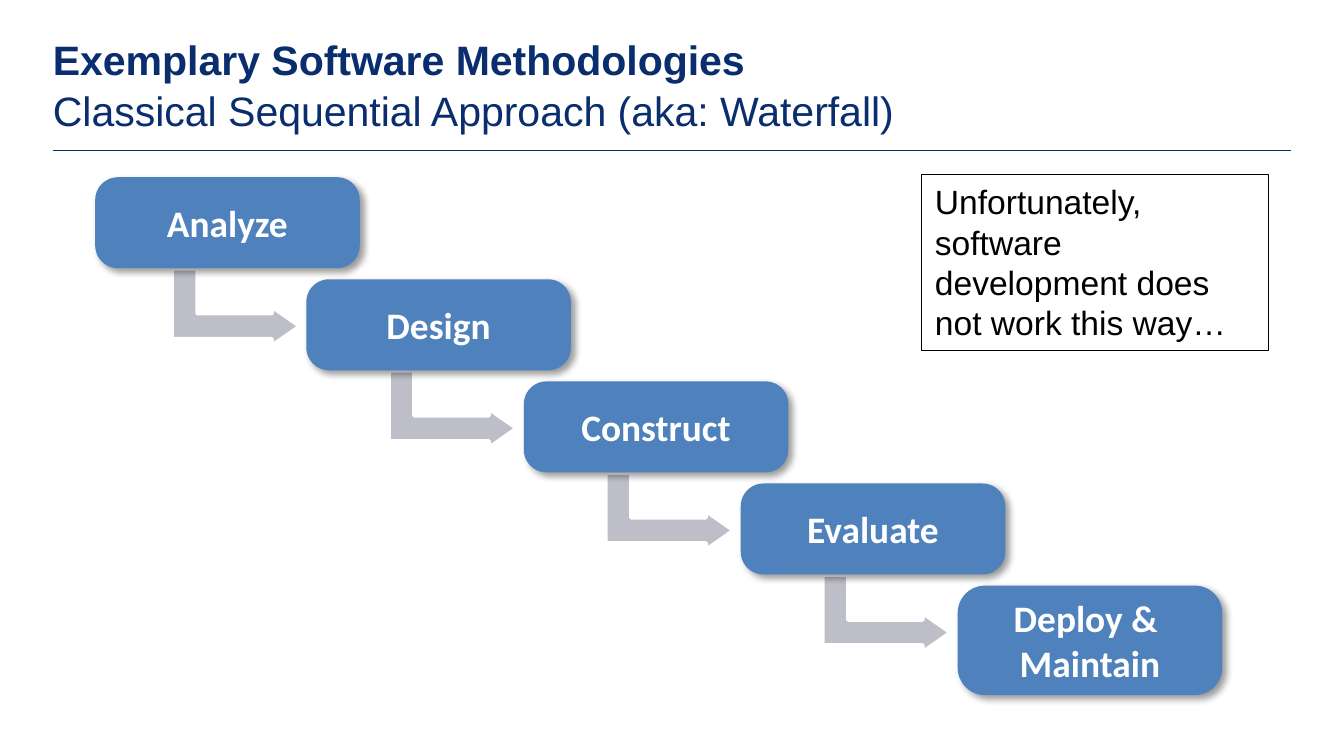
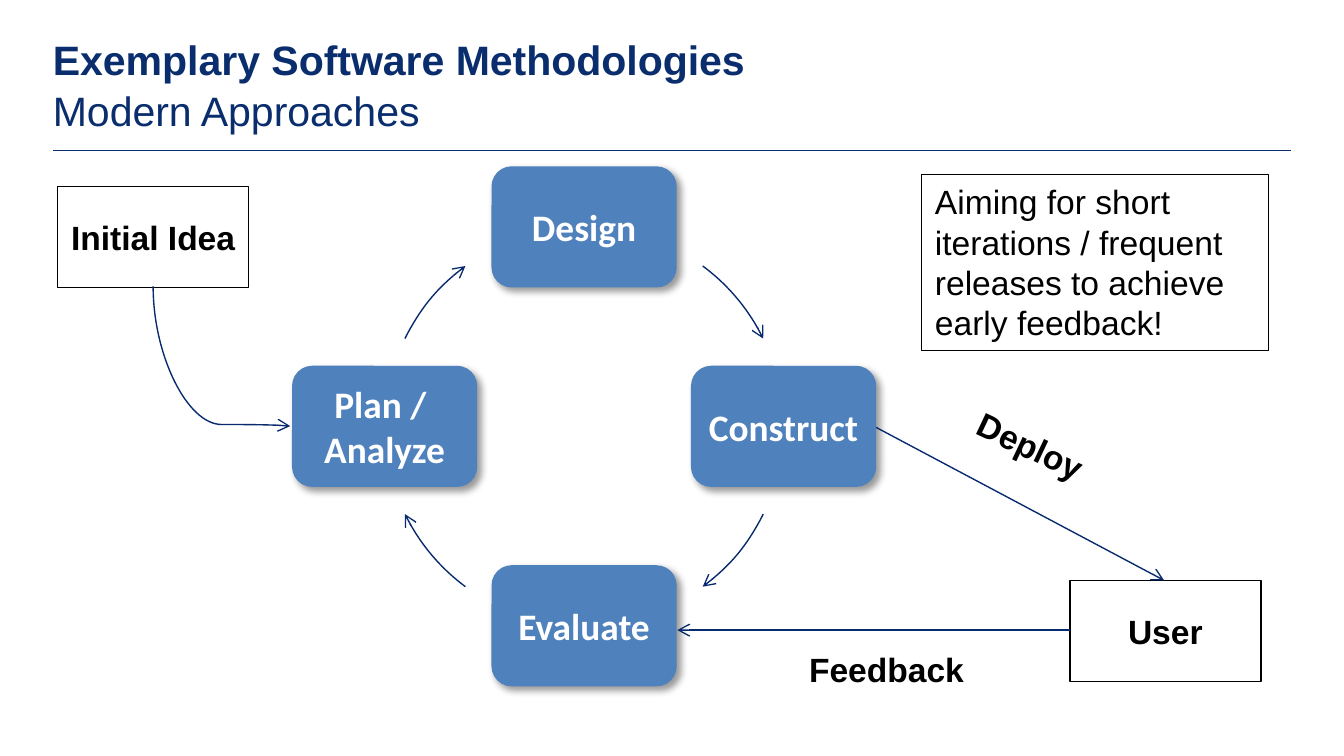
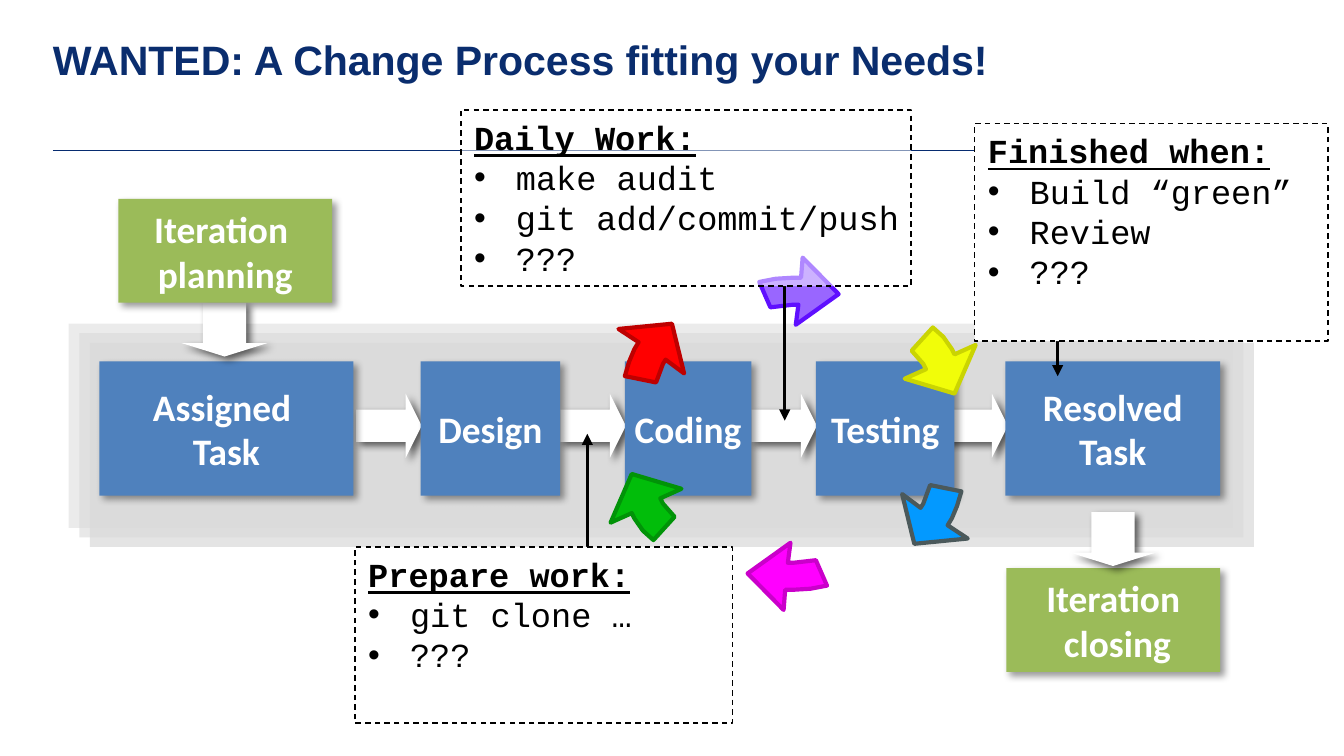
from lxml.etree import SubElement
from pptx import Presentation
from pptx.dml.color import RGBColor
from pptx.enum.dml import MSO_LINE
from pptx.enum.shapes import MSO_CONNECTOR as Link, MSO_SHAPE as Preset
from pptx.enum.text import MSO_ANCHOR as Anchor, PP_ALIGN as Align
from pptx.oxml.ns import qn
from pptx.util import Cm, Pt

NAVY, RULE, ARROW = "0A2D6E", "072C70", "072B6E"
BLUE, GREEN, GRAY, LAYER = "4F81BD", "9BBB59", "BDBEC8", "D9D9D9"
BLACK, WHITE = "000000", "FFFFFF"

METHODOLOGIES = "Exemplary Software Methodologies \n"
NOTE_FRAME = (17.42, 3.3, 6.55, 3.33)

# Waterfall: label, left, height
WATERFALL = [
    ("Analyze", 1.8, 1.72),
    ("Design", 5.79, 1.72),
    ("Construct", 9.9, 1.72),
    ("Evaluate", 14, 1.72),
    ("Deploy & \nMaintain", 18.1, 2.07),
]
WATERFALL_NOTE = "Unfortunately, software development does not work this way…"

# Cycle: label and direction from the centre
CYCLE = [("Design", 0, -1), ("Construct", 1, 0),
         ("Evaluate", 0, 1), ("Plan / \nAnalyze", -1, 0)]
CYCLE_CENTER = (11.04, 8.06)
CYCLE_RADIUS = 3.77
ARC_STARTS = [306.5, 26.1, 126.5, 206.1]
ARC_SWEEP = 27.4
ACTORS = [("Initial\u0020Idea", 1.09, 3.53), ("User", 20.22, 10.97)]
ACTOR_LINKS = [(16.56, 8.08, 22, 10.97), (20.22, 11.91, 12.8, 11.91)]
LINK_LABELS = [("Feedback", 14.81, 12.14, 0), ("Deploy", 17.53, 7.92, 25.4)]
CYCLE_NOTE = ("Aiming for short iterations / frequent releases "
              "to achieve early feedback!")

# Change process: label, left, width
PROCESS = [
    ("Assigned \nTask", 1.88, 4.8),
    ("Design", 7.95, 2.64),
    ("Coding", 11.81, 2.39),
    ("Testing", 15.42, 2.62),
    ("Resolved\nTask", 19, 4.06),
]
PROCESS_ARROWS = [17.81, 14.2, 10.59, 6.73]
DOWN_ARROWS = [(20.22, 9.68), (3.43, 5.72)]
CLOSING = ("Iteration\n closing", 19.02, 10.74)
PLANNING = ("Iteration \nplanning", 2.24, 3.76)
LAYER_OPACITIES = [50, 60, 70]

# Ring of arrows: outlines around the centre, each used again half a turn on
RING_CENTER = (14.99, 8.2)
RING_OUTLINES = [
    [(.1, -2.44), (0, -2.44), (-.43, -2.39), (-.64, -2.87), (-.33, -2.93),
     (0, -2.95), (.15, -2.95), (.18, -3.33), (.86, -2.64), (.05, -2.06)],
    [(2.51, -1.22), (2.46, -1.32), (2.24, -1.57), (2.64, -2.01), (2.84, -1.83),
     (3, -1.6), (3.05, -1.5), (3.45, -1.68), (3.05, -.76), (2.11, -1.04)],
    [(2.41, 1.4), (2.46, 1.32), (2.59, .97), (3.18, 1.09), (3.1, 1.36),
     (3, 1.6), (2.92, 1.73), (3.3, 1.98), (2.29, 2.08), (2.06, 1.14)],
]
RING_COLORS = [("9966FF", "5F0FFF"), ("F1FD09", "CAD402"), ("0399FF", "4B595B"),
               ("FF00FF", "CA00CA"), ("01BD0A", "019308"), ("FF0000", "BE0000")]

# Callouts: heading, items, frame, opacity, wrap, pointer
CALLOUTS = [
    ("Prepare work:", ["git clone …", "???"],
     (6.71, 10.34, 7.14, 3.33), 100, False, (11.1, 10.64, 11.1, 8.2)),
    ("Finished when:", ["Build “green”", "Review", "???"],
     (18.42, 2.34, 6.68, 4.11), 100, True, (19.99, 6.45, 19.99, 7.11)),
    ("Daily Work:", ["make audit", "git add/commit/push", "???"],
     (8.71, 2.08, 8.51, 3.33), 50, False, (14.83, 5.41, 14.83, 7.95)),
]


def color(value):
    return RGBColor.from_string(value)


def set_font(font, name, size, value, bold=False):
    font.name, font.size, font.bold = name, Pt(size), bold
    font.color.rgb = color(value)


def set_opacity(parent, percent):
    SubElement(parent, qn("a:alpha"), val=str(percent * 1000))


def paint(shape, fill=None, line=None, width=0.75, opacity=100, shadow=0):
    """Set fill, outline and shadow; shadow is its opacity in percent."""
    shape.shadow.inherit = False
    if fill:
        shape.fill.solid()
        shape.fill.fore_color.rgb = color(fill)
        if opacity < 100:
            set_opacity(next(shape.element.spPr.iter(qn("a:srgbClr"))), opacity)
    else:
        shape.fill.background()
    if line:
        shape.line.color.rgb = color(line)
        shape.line.width = Pt(width)
    else:
        shape.line.fill.background()
    if shadow:
        effects = shape.element.spPr.find(qn("a:effectLst"))
        outer = SubElement(effects, qn("a:outerShdw"), blurRad=str(Pt(4)),
                           dist=str(Pt(3)), dir="2700000", algn="tl",
                           rotWithShape="0")
        set_opacity(SubElement(outer, qn("a:srgbClr"), val=BLACK), shadow)


def add_shape(slide, preset, frame, adjustments=(), **look):
    shape = slide.shapes.add_shape(preset, *map(Cm, frame))
    for index, value in enumerate(adjustments):
        shape.adjustments[index] = value
    paint(shape, **look)
    return shape


def write(shape, text, name="Arial", size=18, value=BLACK, bold=True,
          align=Align.CENTER, wrap=True, anchor=Anchor.MIDDLE):
    frame = shape.text_frame
    frame.word_wrap, frame.vertical_anchor = wrap, anchor
    paragraph = frame.paragraphs[0]
    paragraph.text, paragraph.alignment = text, align
    set_font(paragraph.font, name, size, value, bold)


def add_box(slide, label, frame, fill=BLUE, preset=Preset.RECTANGLE,
            adjustments=()):
    box = add_shape(slide, preset, frame, adjustments, fill=fill, shadow=40)
    write(box, label, "Calibri", 20, WHITE, wrap=False)


def add_note(slide, text):
    note = add_shape(slide, Preset.RECTANGLE, NOTE_FRAME, line=BLACK)
    write(note, text, bold=False, align=Align.LEFT, anchor=Anchor.TOP)


def add_head(shape, head):
    SubElement(shape.element.spPr.find(qn("a:ln")), qn("a:tailEnd"), type=head)


def add_link(slide, ends, value=ARROW, width=0.75, head=None,
             kind=Link.STRAIGHT):
    link = slide.shapes.add_connector(kind, *map(Cm, ends))
    link.line.color.rgb = color(value)
    link.line.width = Pt(width)
    if head:
        add_head(link, head)
    SubElement(link.element.spPr, qn("a:effectLst"))
    return link


def add_slide(presentation, title, subtitle=""):
    slide = presentation.slides.add_slide(presentation.slide_layouts[6])
    add_link(slide, (1, 2.85, 24.4, 2.85), RULE)
    frame = slide.shapes.add_textbox(Cm(1), Cm(0.61), Cm(23.4), Cm(1.04)).text_frame
    frame.word_wrap = True
    frame.margin_left = frame.margin_right = 0
    frame.margin_top = frame.margin_bottom = 0
    paragraph = frame.paragraphs[0]
    paragraph.line_spacing = 1.04
    paragraph.text = title
    if subtitle:
        paragraph.add_run().text = subtitle
    for index, run in enumerate(paragraph.runs):
        set_font(run.font, "Arial", 22, NAVY, bold=index == 0)
    return slide


def build_waterfall(presentation):
    slide = add_slide(presentation, METHODOLOGIES,
                      "Classical Sequential Approach (aka: Waterfall)")
    drop = 1.93
    for index, (label, left, height) in enumerate(WATERFALL):
        if index < len(WATERFALL) - 1:
            bend = add_shape(slide, Preset.BENT_UP_ARROW,
                             (3.73 + 4.1 * index, 4.6 + drop * index, 1.45, 2.41),
                             (0.328, 0.25, 0.358), fill=GRAY, line=WHITE, width=2)
            bend.rotation = 90
        add_box(slide, label, (left, 3.35 + drop * index, 5, height),
                preset=Preset.ROUNDED_RECTANGLE, adjustments=(0.25,))
    add_note(slide, WATERFALL_NOTE)


def add_idea_link(slide):
    """Curve that leaves the idea downwards and enters the plan from the left."""
    link = add_link(slide, (5.51, 5.44, 2.87, 8.03), head="arrow", kind=Link.CURVE)
    properties = link.element.spPr
    properties.find(qn("a:xfrm")).set("rot", str(270 * 60000))
    guides = next(properties.iter(qn("a:avLst")))
    SubElement(guides, qn("a:gd"), name="adj1", fmla="val 98900")


def build_cycle(presentation):
    slide = add_slide(presentation, METHODOLOGIES, "Modern Approaches")
    center_x, center_y = CYCLE_CENTER
    width, height = 3.5, 2.29
    circle = (center_x - CYCLE_RADIUS, center_y - CYCLE_RADIUS,
              2 * CYCLE_RADIUS, 2 * CYCLE_RADIUS)
    for (label, across, down), start in zip(CYCLE, ARC_STARTS):
        add_box(slide, label, (center_x + CYCLE_RADIUS * across - width / 2,
                               center_y + CYCLE_RADIUS * down - height / 2,
                               width, height), preset=Preset.ROUNDED_RECTANGLE)
        angles = [angle * 0.6 for angle in (start, start + ARC_SWEEP)]
        add_head(add_shape(slide, Preset.ARC, circle, angles, line=ARROW), "arrow")
    for label, left, top in ACTORS:
        actor = add_shape(slide, Preset.RECTANGLE, (left, top, 3.61, 1.91),
                          fill=WHITE, line=BLACK)
        write(actor, label)
    for ends in ACTOR_LINKS:
        add_link(slide, ends, head="arrow")
    add_idea_link(slide)
    for label, left, top, angle in LINK_LABELS:
        caption = slide.shapes.add_textbox(Cm(left), Cm(top), Cm(3.89), Cm(1.02))
        write(caption, label, anchor=Anchor.TOP)
        caption.rotation = angle
    add_note(slide, CYCLE_NOTE)


def add_ring(slide):
    half_turn = [[(-x, -y) for x, y in outline] for outline in RING_OUTLINES]
    for outline, (fill, line) in zip(RING_OUTLINES + half_turn, RING_COLORS):
        points = [(Cm(RING_CENTER[0] + x), Cm(RING_CENTER[1] + y))
                  for x, y in outline]
        builder = slide.shapes.build_freeform(*points[0])
        builder.add_line_segments(points[1:], close=True)
        paint(builder.convert_to_shape(), fill, line, 2.25)


def add_callout(slide, heading, items, frame, opacity, wrap, pointer):
    add_link(slide, pointer, BLACK, 1.5, "triangle")
    callout = add_shape(slide, Preset.RECTANGLE, frame, fill=WHITE, line=BLACK,
                        opacity=opacity)
    callout.line.dash_style = MSO_LINE.DASH
    write(callout, heading, "Courier New", align=Align.LEFT, wrap=wrap,
          anchor=Anchor.TOP)
    callout.text_frame.paragraphs[0].font.underline = True
    for item in items:
        paragraph = callout.text_frame.add_paragraph()
        paragraph.text, paragraph.alignment = item, Align.LEFT
        set_font(paragraph.font, "Courier New", 18, BLACK)
        properties = paragraph._p.get_or_add_pPr()
        indent = Cm(0.79)
        properties.set("marL", str(indent))
        properties.set("indent", str(-indent))
        bullet_font = properties.makeelement(qn("a:buFont"), {"typeface": "Arial"})
        bullet = properties.makeelement(qn("a:buChar"), {"char": "•"})
        properties.insert(0, bullet_font)
        properties.insert(1, bullet)


def build_process(presentation):
    slide = add_slide(presentation, "WANTED: A Change Process fitting your Needs!")

    def add_milestone(label, left, top):
        add_box(slide, label, (left, top, 4.04, 1.96), GREEN)

    def add_arrow(preset, *frame):
        add_shape(slide, preset, frame, (0.5, 0.25), fill=WHITE, shadow=60)

    add_milestone(*CLOSING)
    for index, opacity in enumerate(LAYER_OPACITIES):
        add_shape(slide, Preset.RECTANGLE,
                  (1.3 + 0.2 * index, 6.12 + 0.18 * index, 22, 3.86),
                  fill=LAYER, opacity=opacity)
    for left in PROCESS_ARROWS:
        add_arrow(Preset.RIGHT_ARROW, left, 7.44, 1.24, 1.22)
    for label, left, width in PROCESS:
        add_box(slide, label, (left, 6.83, width, 2.54))
    for left, top in DOWN_ARROWS:
        add_arrow(Preset.DOWN_ARROW, left, top, 1.63, 1.02)
    add_ring(slide)
    add_milestone(*PLANNING)
    for callout in CALLOUTS:
        add_callout(slide, *callout)


def main():
    presentation = Presentation()
    presentation.slide_width, presentation.slide_height = Cm(25.4), Cm(14.29)
    build_waterfall(presentation)
    build_cycle(presentation)
    build_process(presentation)
    presentation.save("out.pptx")


if __name__ == "__main__":
    main()
